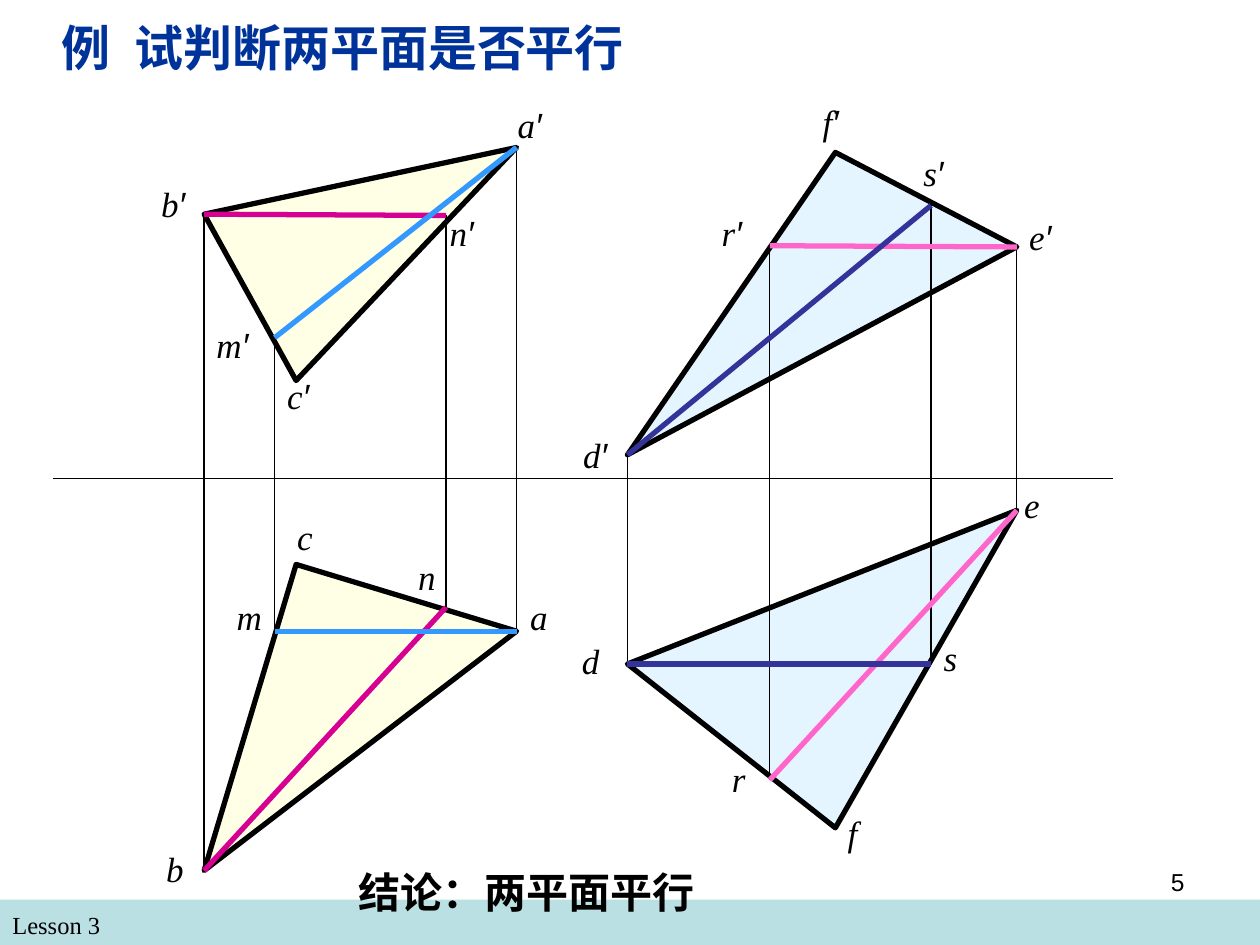
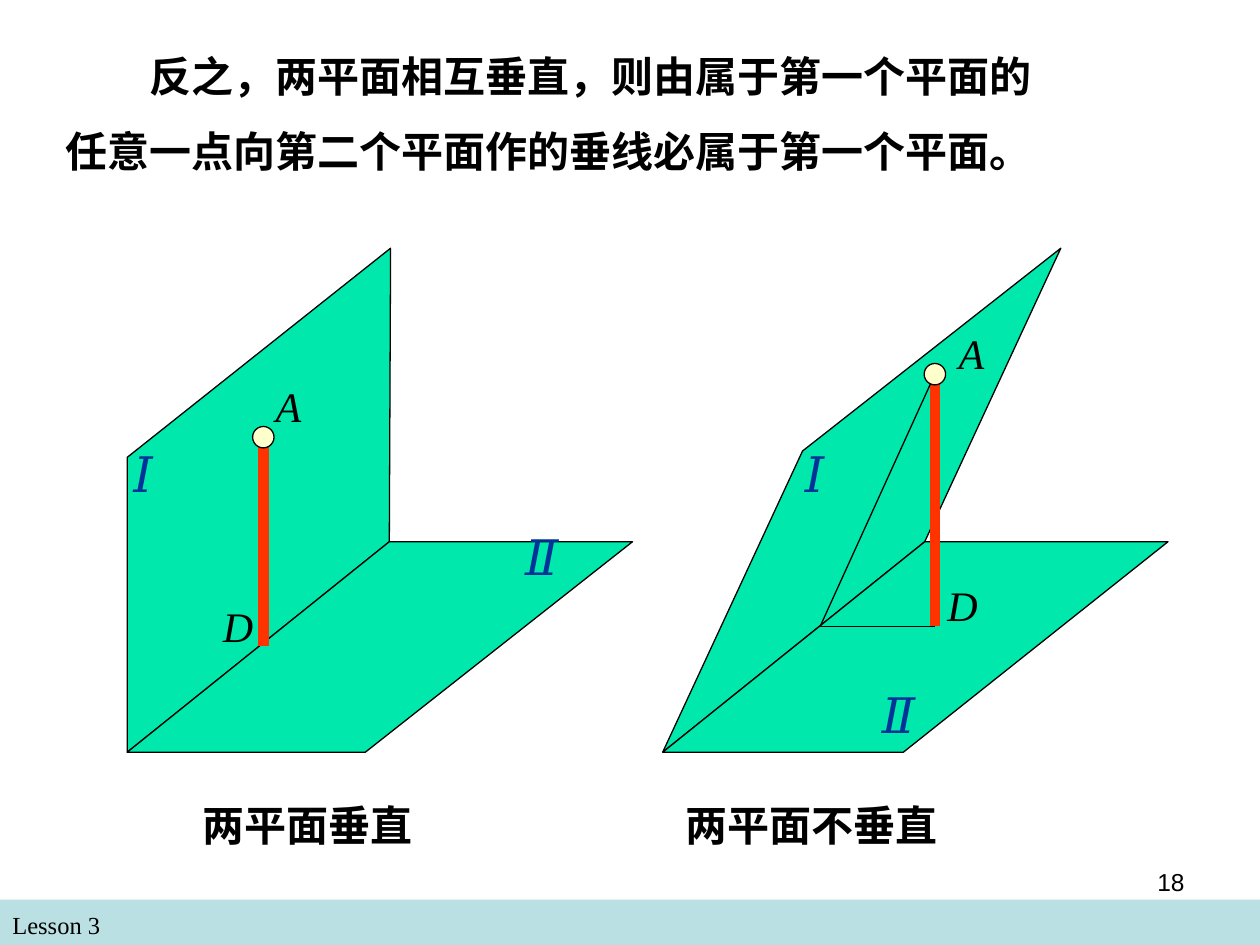
from lxml.etree import SubElement
from pptx import Presentation
from pptx.dml.color import RGBColor
from pptx.enum.shapes import MSO_CONNECTOR as Connector, MSO_SHAPE as Shape
from pptx.enum.text import PP_ALIGN as Align
from pptx.oxml.ns import qn
from pptx.util import Inches, Pt


class Theme:
    black = "000000"
    navy = "003399"
    band = "BBE0E3"
    cream = "FFFFCC"
    ice = "CCECFF"
    jade = "00E8AB"
    red = "FF3300"
    sky = "3399FF"
    magenta = "D60093"
    pink = "FF66CC"
    indigo = "333399"
    cjk = "Noto Sans CJK SC"
    serif = "Times New Roman"
    sans = "Arial"
    small = 14
    letter = 20
    body = 24
    title = 28
    thin = 0.75
    bold_line = 3
    rod = 6


def write(slide, text, left, top, width, height, size, font, color=Theme.black,
          bold=False, italic=False):
    frame = slide.shapes.add_textbox(
        Inches(left), Inches(top), Inches(width), Inches(height)).text_frame
    frame.word_wrap = True
    paragraph = frame.paragraphs[0]
    for part in text.partition("′")[:2]:
        if part:
            run = paragraph.add_run()
            run.text = part
            typeface = Theme.sans if part == "′" else font
            run.font.name = typeface
            run.font.size = Pt(size)
            run.font.bold = bold
            run.font.italic = italic
            run.font.color.rgb = RGBColor.from_string(color)
            SubElement(run.font._element, qn("a:ea")).set("typeface", typeface)
    return paragraph


def draw(slide, points, color=Theme.black, width=Theme.thin, fill=None, opacity=100):
    corners = [(Inches(x), Inches(y)) for x, y in points]
    if fill:
        builder = slide.shapes.build_freeform(*corners[0])
        builder.add_line_segments(corners[1:], close=True)
        outline = builder.convert_to_shape()
        outline.shadow.inherit = False
        outline.fill.solid()
        outline.fill.fore_color.rgb = RGBColor.from_string(fill)
        if opacity < 100:
            tint = outline.fill._xPr.find(qn("a:solidFill"))[0]
            SubElement(tint, qn("a:alpha")).set("val", str(opacity * 1000))
    else:
        outline = slide.shapes.add_connector(Connector.STRAIGHT, *corners[0], *corners[1])
    outline.line.color.rgb = RGBColor.from_string(color)
    outline.line.width = Pt(width)
    if not fill:
        SubElement(outline._element.spPr, qn("a:effectLst"))


deck = Presentation()
deck.slide_width, deck.slide_height = Inches(10), Inches(7.5)

lesson_slides = []
for page_number in ("5", "18"):
    slide = deck.slides.add_slide(deck.slide_layouts[6])
    footer_band = slide.shapes.add_shape(
        Shape.RECTANGLE, 0, Inches(7.14), Inches(10), Inches(0.36))
    footer_band.shadow.inherit = False
    footer_band.fill.solid()
    footer_band.fill.fore_color.rgb = RGBColor.from_string(Theme.band)
    footer_band.line.fill.background()
    write(slide, "Lesson 3", 0, 7.17, 4.83, 0.34, Theme.small, Theme.serif)
    page = write(slide, page_number, 7.17, 6.83, 2.33, 0.52, Theme.small, Theme.sans)
    page.alignment = Align.RIGHT
    lesson_slides.append(slide)
parallel, perpendicular = lesson_slides

title = write(parallel, "例\t试判断两平面是否平行", 0.39, 0.09, 5.2, 0.57,
              Theme.title, Theme.cjk, Theme.navy, bold=True)
tab_list = SubElement(title._p.get_or_add_pPr(), qn("a:tabLst"))
title_tab = SubElement(tab_list, qn("a:tab"))
title_tab.set("pos", str(Inches(0.58)))
title_tab.set("algn", "l")

projections = {
    "a": (4.1, 1.17, 5.01),
    "b": (1.62, 1.7, 6.91),
    "c": (2.35, 3.02, 4.48),
    "d": (4.98, 3.61, 5.27),
    "e": (8.07, 1.96, 4.05),
    "f": (6.63, 1.21, 6.57),
    "m": (2.18, 2.68, 5.01),
    "n": (3.54, 1.71, 4.82),
    "r": (6.11, 1.95, 6.19),
    "s": (7.39, 1.63, 5.27),
}
points = {}
for letter, (x, front_y, top_y) in projections.items():
    points[letter + "′"] = (x, front_y)
    points[letter] = (x, top_y)

draw(parallel, [(0.42, 3.8), (8.83, 3.8)])
for view in ("′", ""):
    for corners, fill in (("abc", Theme.cream), ("def", Theme.ice)):
        draw(parallel, [points[corner + view] for corner in corners],
             width=Theme.bold_line, fill=fill, opacity=50)
for letter in "abdemnrs":
    draw(parallel, [points[letter + "′"], points[letter]])
for view in ("′", ""):
    for (start, end), color in (("re", Theme.pink), ("sd", Theme.indigo),
                                ("bn", Theme.magenta), ("am", Theme.sky)):
        draw(parallel, [points[start + view], points[end + view]], color, Theme.bold_line)

point_labels = {
    "a′": (4.01, 0.77), "a": (4.11, 4.68),
    "b′": (1.18, 1.4), "b": (1.22, 6.68),
    "c′": (2.18, 2.92), "c": (2.26, 4.04),
    "d′": (4.53, 3.39), "d": (4.52, 5.03),
    "e′": (8.07, 1.66), "e": (8.03, 3.79),
    "f′": (6.43, 0.75), "f": (6.63, 6.39),
    "m′": (1.62, 2.52), "m": (1.78, 4.68),
    "n′": (3.47, 1.63), "n": (3.22, 4.36),
    "r′": (5.63, 1.63), "r": (5.71, 5.96),
    "s′": (7.23, 1.15), "s": (7.39, 5),
}
for label, (left, top) in point_labels.items():
    write(parallel, label, left, top, 0.64, 0.44, Theme.letter, Theme.serif, italic=True)
write(parallel, "结论：两平面平行", 2.75, 6.83, 3.85, 0.5, Theme.body, Theme.cjk, bold=True)

theorem = write(
    perpendicular,
    "反之，两平面相互垂直，则由属于第一个平面的任意一点向第二个平面作的垂线必属于第一个平面。",
    0.42, 0.15, 7.98, 1.3, Theme.body, Theme.cjk, bold=True)
theorem.line_spacing = 1.5
theorem._p.get_or_add_pPr().set("indent", str(Inches(0.67)))

plane_pairs = [
    {
        "I": [(1.01, 3.63), (1.01, 5.97), (3.09, 4.3), (3.1, 1.97)],
        "II": [(1.01, 5.97), (2.9, 5.97), (5.02, 4.3), (3.09, 4.3)],
        "A": (2.09, 3.47), "D": (2.09, 5.13), "traces": [],
        "labels": {"A": (2.09, 2.97), "D": (1.67, 4.72), "Ⅰ": (0.96, 3.47), "Ⅱ": (4.07, 4.13)},
        "caption": ("两平面垂直", 1.51, 2),
    },
    {
        "I": [(6.37, 3.58), (5.26, 5.97), (7.34, 4.3), (8.42, 1.97)],
        "II": [(5.26, 5.97), (7.17, 5.97), (9.27, 4.3), (7.34, 4.3)],
        "A": (7.42, 2.97), "D": (7.42, 4.97),
        "traces": [[(7.42, 2.97), (6.51, 4.97)], [(6.51, 4.97), (7.42, 4.97)]],
        "labels": {"A": (7.51, 2.55), "D": (7.42, 4.55), "Ⅰ": (6.29, 3.47), "Ⅱ": (6.9, 5.38)},
        "caption": ("两平面不垂直", 5.34, 2.58),
    },
]
dot = 0.17
for pair in plane_pairs:
    for plane in ("I", "II"):
        draw(perpendicular, pair[plane], fill=Theme.jade)
    draw(perpendicular, [pair["A"], pair["D"]], Theme.red, Theme.rod)
    for trace in pair["traces"]:
        draw(perpendicular, trace)
    x, y = pair["A"]
    point_a = perpendicular.shapes.add_shape(
        Shape.OVAL, Inches(x - dot / 2), Inches(y - dot / 2), Inches(dot), Inches(dot))
    point_a.shadow.inherit = False
    point_a.fill.solid()
    point_a.fill.fore_color.rgb = RGBColor.from_string(Theme.cream)
    point_a.line.color.rgb = RGBColor.from_string(Theme.black)
    point_a.line.width = Pt(Theme.thin)
    for label, (left, top) in pair["labels"].items():
        size, color = (Theme.body, Theme.black) if label in "AD" else (Theme.title, Theme.navy)
        write(perpendicular, label, left, top, 0.46, 0.5, size, Theme.serif, color, italic=True)
    caption, left, width = pair["caption"]
    write(perpendicular, caption, left, 6.3, width, 0.5, Theme.body, Theme.cjk, bold=True)

deck.save("out.pptx")
